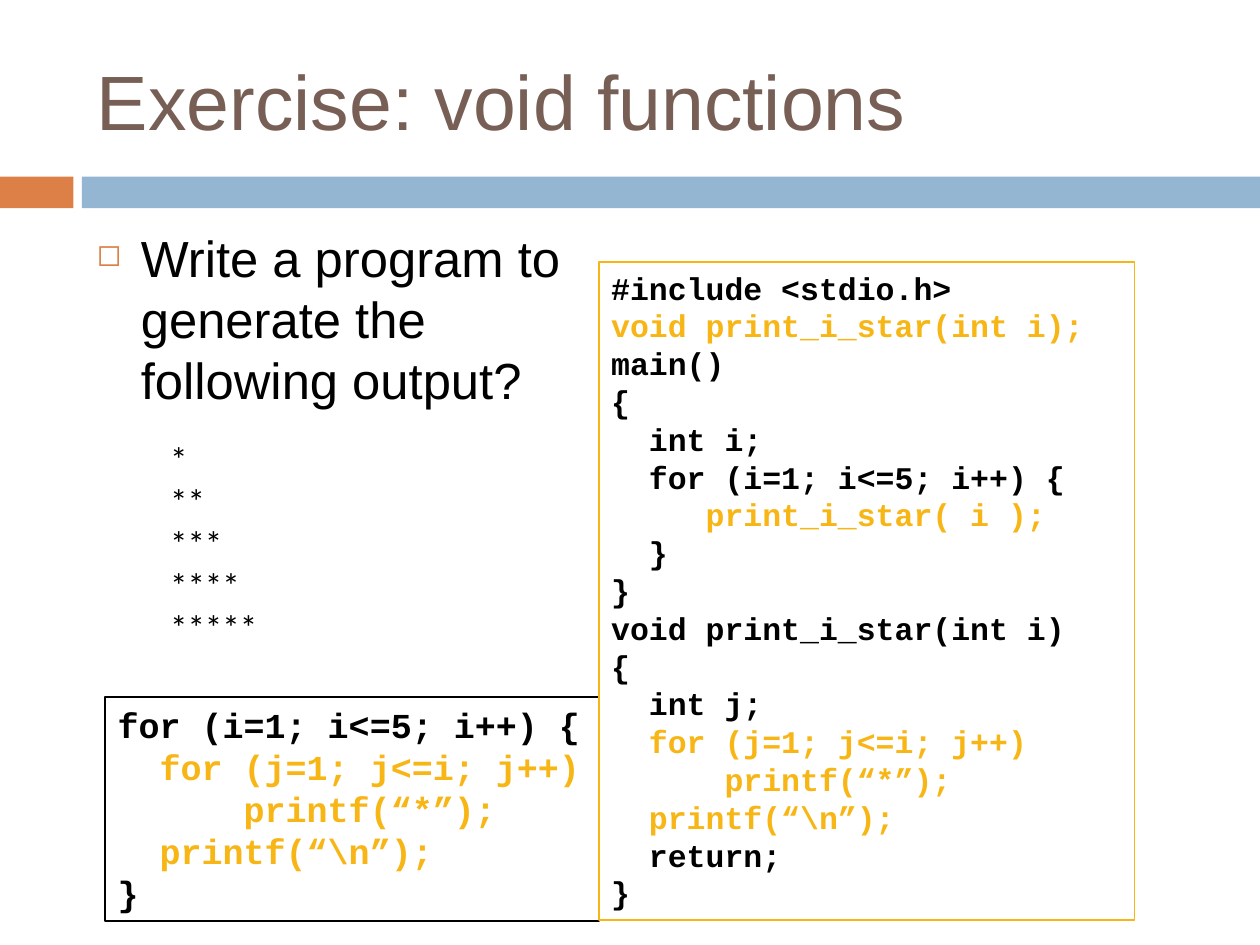
from pptx import Presentation
from pptx.dml.color import RGBColor
from pptx.enum.shapes import MSO_SHAPE
from pptx.enum.text import MSO_ANCHOR, PP_ALIGN
from pptx.oxml import parse_xml
from pptx.oxml.ns import nsdecls
from pptx.util import Cm, Pt

BLACK = RGBColor(0x00, 0x00, 0x00)
BROWN = RGBColor(0x77, 0x5F, 0x55)
ORANGE = RGBColor(0xDD, 0x80, 0x47)
BLUE = RGBColor(0x94, 0xB6, 0xD2)
GOLD = RGBColor(0xF7, 0xB6, 0x15)

STARS = [("*" * count, BLACK) for count in range(1, 6)]
INNER_LOOP = [
    ("  for (j=1; j<=i; j++)", GOLD),
    ("      printf(“*”);", GOLD),
    ("  printf(“\\n”);", GOLD),
]
NESTED_LOOPS = [("for (i=1; i<=5; i++) {", BLACK), *INNER_LOOP, ("}", BLACK)]
PROGRAM = [
    ("#include <stdio.h>", BLACK),
    ("void print_i_star(int i);", GOLD),
    ("main()", BLACK),
    ("{", BLACK),
    ("  int i;", BLACK),
    ("  for (i=1; i<=5; i++) {", BLACK),
    ("     print_i_star( i );", GOLD),
    ("  }", BLACK),
    ("}", BLACK),
    ("void print_i_star(int i)", BLACK),
    ("{", BLACK),
    ("  int j;", BLACK),
    *INNER_LOOP,
    ("  return;", BLACK),
    ("}", BLACK),
]


def write_line(paragraph, text, *, size, font="Arial", color=BLACK, bold=False):
    paragraph.alignment = PP_ALIGN.LEFT
    paragraph.line_spacing = Pt(size * 1.2)
    run = paragraph.add_run()
    run.text = text
    run.font.name = font
    run.font.size = Pt(size)
    run.font.bold = bold
    run.font.color.rgb = color


def write_lines(frame, lines, **style):
    for number, (text, color) in enumerate(lines):
        paragraph = frame.add_paragraph() if number else frame.paragraphs[0]
        write_line(paragraph, text, color=color, **style)


class ExerciseSlide:
    code_font = "Courier New"
    output_font = "Calibri"

    def __init__(self, deck):
        self.slide = deck.slides.add_slide(deck.slide_layouts[5])

    def bar(self, left, width, color):
        bar = self.slide.shapes.add_shape(
            MSO_SHAPE.RECTANGLE, Cm(left), Cm(3.56), Cm(width), Cm(0.64))
        bar.shadow.inherit = False
        bar.fill.solid()
        bar.fill.fore_color.rgb = color
        bar.line.fill.background()

    def title(self, text):
        title = self.slide.shapes.title
        title.left, title.top = Cm(1.7), Cm(0.64)
        title.width, title.height = Cm(22.65), Cm(2.74)
        title.text_frame.vertical_anchor = MSO_ANCHOR.MIDDLE
        write_line(title.text_frame.paragraphs[0], text, size=44, color=BROWN)

    def text_box(self, left, top, width, height):
        box = self.slide.shapes.add_textbox(Cm(left), Cm(top), Cm(width), Cm(height))
        box.text_frame.word_wrap = True
        return box

    def task(self, text):
        paragraph = self.text_box(1.7, 4.45, 9.93, 4.65).text_frame.paragraphs[0]
        properties = paragraph._p.get_or_add_pPr()
        properties.set("marL", str(Cm(0.89)))
        properties.set("indent", str(-Cm(0.89)))
        for bullet in (
            f'<a:buClr {nsdecls("a")}><a:srgbClr val="{ORANGE}"/></a:buClr>',
            f'<a:buSzPct {nsdecls("a")} val="60000"/>',
            f'<a:buChar {nsdecls("a")} char="◻"/>',
        ):
            properties.append(parse_xml(bullet))
        write_line(paragraph, text, size=29)

    def output(self, lines):
        box = self.text_box(3.18, 8.69, 5.28, 4.5)
        write_lines(box.text_frame, lines, size=20, font=self.output_font)

    def code(self, lines, left, top, width, height, size, border):
        box = self.text_box(left, top, width, height)
        box.line.color.rgb = border
        box.line.width = Pt(1)
        write_lines(box.text_frame, lines, size=size, font=self.code_font, bold=True)


def main():
    deck = Presentation()
    deck.slide_width, deck.slide_height = Cm(25.4), Cm(19.05)
    exercise = ExerciseSlide(deck)
    exercise.bar(0, 1.48, ORANGE)
    exercise.bar(1.65, 23.75, BLUE)
    exercise.title("Exercise: void functions")
    exercise.task("Write a program to generate the following output?")
    exercise.output(STARS)
    exercise.code(NESTED_LOOPS, 2.12, 14.05, 9.95, 4.52, size=20, border=BLACK)
    exercise.code(PROGRAM, 12.07, 5.29, 10.8, 13.26, size=18, border=GOLD)
    deck.save("out.pptx")


if __name__ == "__main__":
    main()
